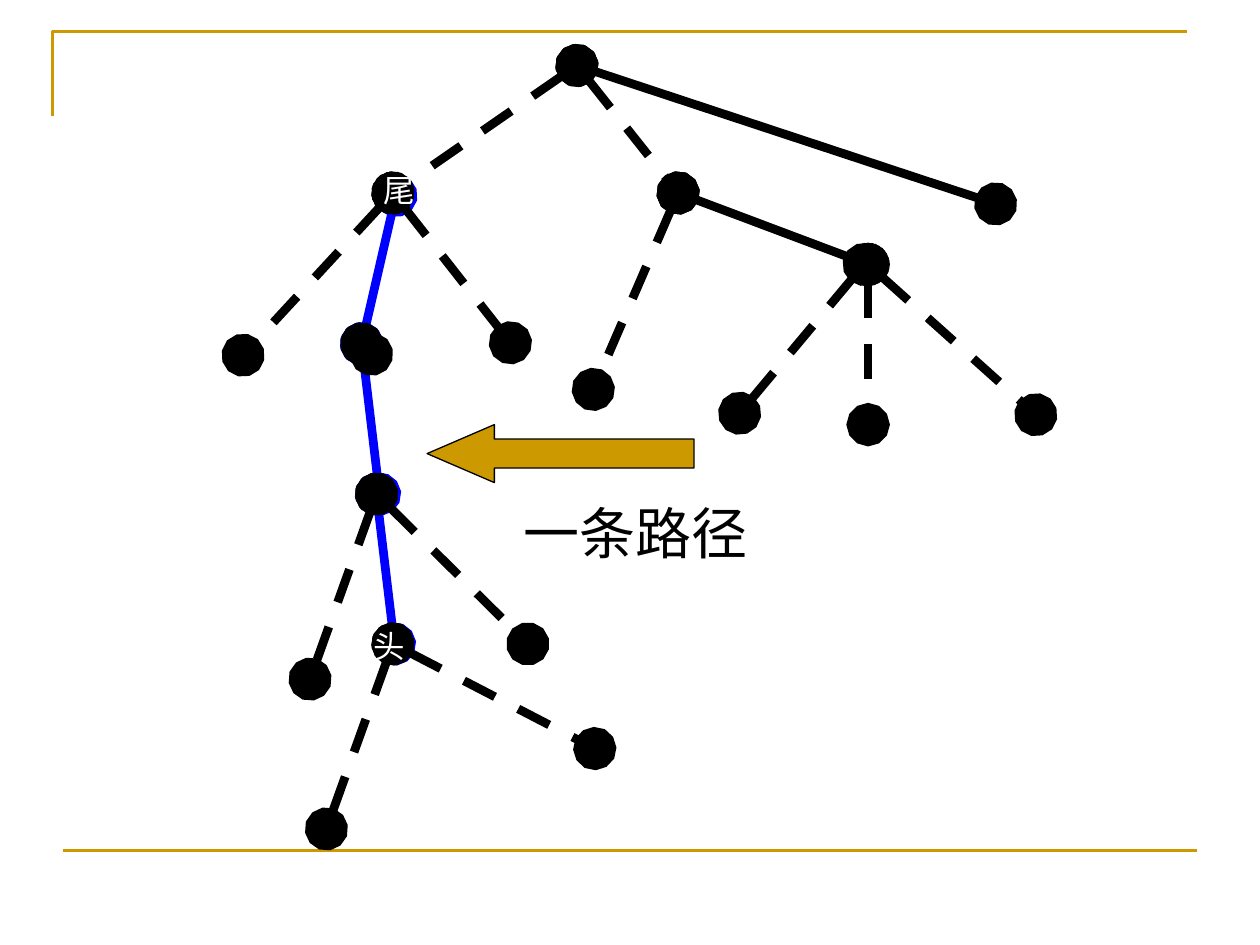
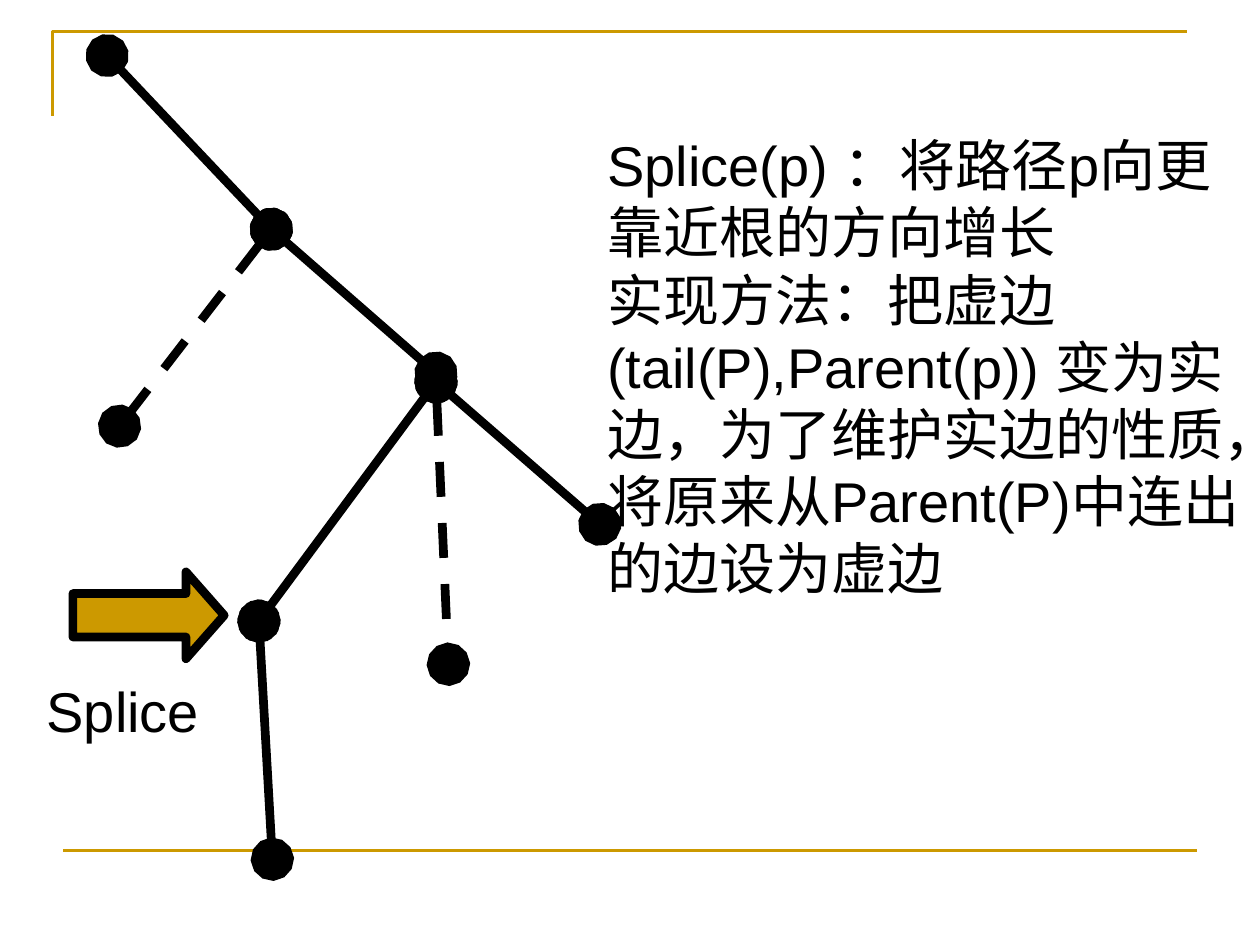
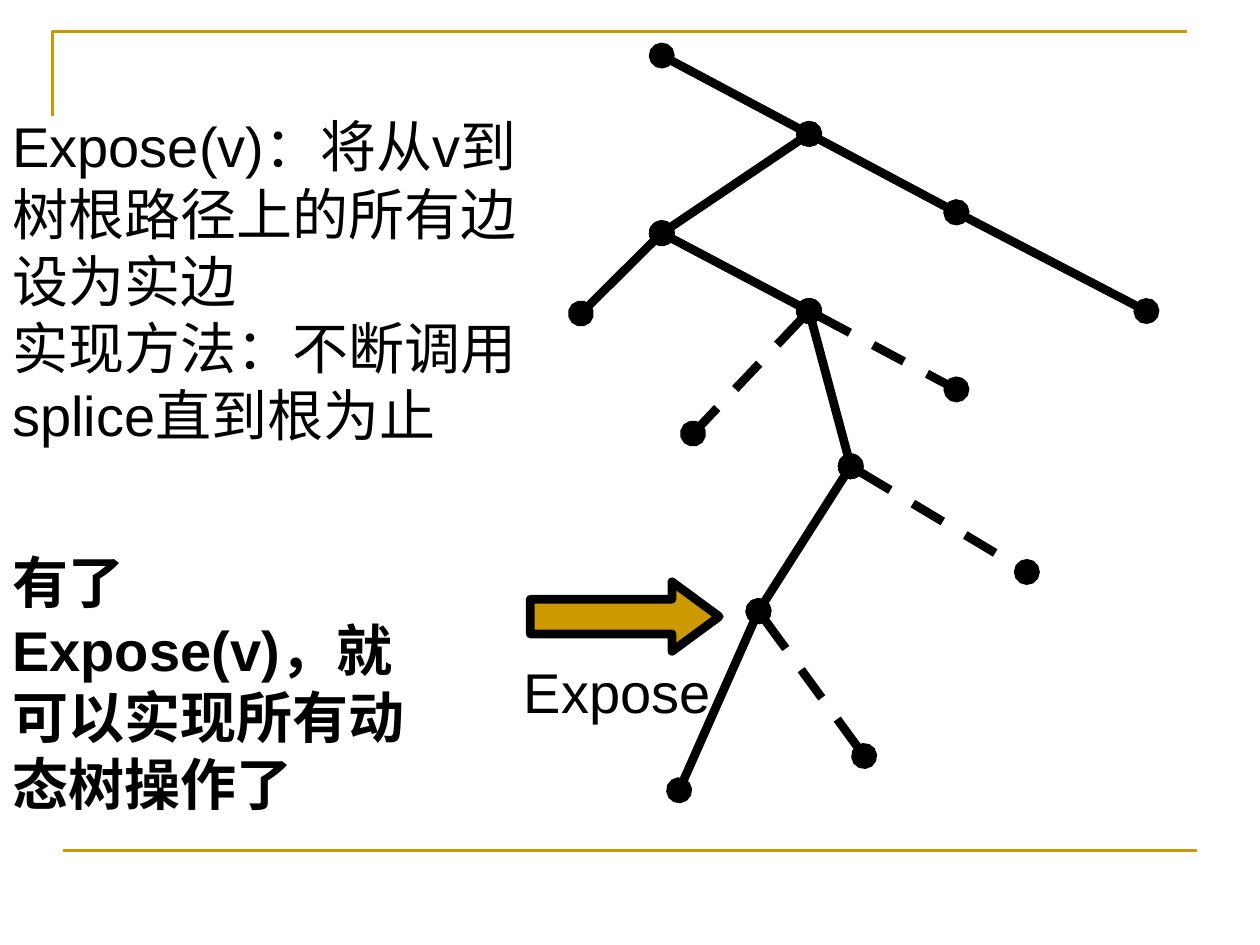
from lxml.etree import SubElement
from pptx import Presentation
from pptx.dml.color import RGBColor
from pptx.enum.dml import MSO_LINE
from pptx.enum.lang import MSO_LANGUAGE_ID
from pptx.enum.shapes import MSO_CONNECTOR, MSO_SHAPE
from pptx.enum.text import MSO_AUTO_SIZE
from pptx.oxml.ns import qn
from pptx.util import Cm, Pt

GOLD = RGBColor(0xCC, 0x99, 0x00)
BLACK = RGBColor(0, 0, 0)
BLUE = RGBColor(0, 0, 0xFF)
WHITE = RGBColor(0xFF, 0xFF, 0xFF)
FONT = "Arial"

# Nodes are (x, y) in cm; edges are pairs of node names.
PATH_NODES = {
    "root": (11.63, 1.32), "mid": (13.67, 3.89), "far": (20.07, 4.11),
    "tail": (7.92, 3.89), "tail rim": (7.98, 3.94),
    "fork": (17.5, 5.33), "fork left": (17.42, 5.33),
    "knee": (7.29, 6.93), "knee twin": (7.49, 7.14),
    "hip": (7.59, 9.96), "hip rim": (7.65, 9.96),
    "head": (7.92, 12.98), "head rim": (7.95, 12.98),
    "mid leaf": (11.96, 7.85),
    "tail leaf 1": (4.9, 7.16), "tail leaf 2": (10.29, 6.91),
    "fork leaf 1": (14.91, 8.33), "fork leaf 2": (17.5, 8.56),
    "fork leaf 3": (20.88, 8.36),
    "hip leaf 1": (6.25, 13.69), "hip leaf 2": (10.64, 12.98),
    "head leaf 1": (6.58, 16.71), "head leaf 2": (11.99, 15.09),
}
PATH_BLUE = [("tail rim", "knee"), ("knee", "hip rim"), ("hip", "head rim")]
PATH_SOLID = [("root", "far"), ("mid", "fork"), ("knee", "knee twin")]
PATH_DASHED = [
    ("root", "mid"), ("root", "tail"), ("mid", "mid leaf"),
    ("tail", "tail leaf 1"), ("tail", "tail leaf 2"),
    ("fork left", "fork leaf 1"), ("fork", "fork leaf 2"),
    ("fork", "fork leaf 3"), ("hip", "hip leaf 1"), ("hip", "hip leaf 2"),
    ("head", "head leaf 1"), ("head", "head leaf 2"),
]

SPLICE_NODES = {
    "root": (2.16, 1.12), "hub": (5.47, 4.62), "hub leaf": (2.41, 8.59),
    "fork top": (8.79, 7.52), "fork": (8.79, 7.7), "right": (12.09, 10.57),
    "mid": (9.04, 13.39), "left": (5.22, 12.52), "end": (5.49, 17.32),
}
SPLICE_SOLID = [("root", "hub"), ("hub", "fork top"), ("fork", "right"),
                ("fork", "left"), ("left", "end")]
SPLICE_DASHED = [("hub", "hub leaf"), ("fork", "mid")]

EXPOSE_NODES = {
    "root": (13.34, 1.12), "hub": (16.31, 2.7), "left": (13.34, 4.7),
    "left leaf": (11.71, 6.32), "right": (19.28, 4.28), "far": (23.11, 6.27),
    "fork": (16.31, 6.27), "fork leaf 1": (13.97, 8.74),
    "fork leaf 2": (19.28, 7.85), "knee": (17.15, 9.4),
    "knee leaf": (20.7, 11.53), "goal": (15.29, 12.32),
    "goal leaf 1": (13.69, 15.93), "goal leaf 2": (17.42, 15.24),
}
EXPOSE_SOLID = [
    ("root", "hub"), ("hub", "left"), ("hub", "right"), ("right", "far"),
    ("left", "left leaf"), ("left", "fork"), ("fork", "knee"),
    ("knee", "goal"), ("goal", "goal leaf 1"),
]
EXPOSE_DASHED = [("fork", "fork leaf 1"), ("fork", "fork leaf 2"),
                 ("knee", "knee leaf"), ("goal", "goal leaf 2")]


def add_line(slide, start, end, color, width):
    line = slide.shapes.add_connector(
        MSO_CONNECTOR.STRAIGHT, *map(Cm, start + end))
    line.line.color.rgb = color
    line.line.width = Pt(width)
    SubElement(line._element.spPr, qn("a:effectLst"))
    return line


def add_frame(slide):
    """Draw the gold corner and foot line that all slides share."""
    pen = slide.shapes.build_freeform(Cm(1.06), Cm(2.33))
    pen.add_line_segments(
        [(Cm(1.06), Cm(0.64)), (Cm(23.92), Cm(0.64))], close=False)
    corner = pen.convert_to_shape()
    corner.shadow.inherit = False
    corner.fill.background()
    corner.line.color.rgb = GOLD
    corner.line.width = Pt(1.5)
    add_line(slide, (1.27, 17.15), (24.13, 17.15), GOLD, 1.5)


def add_edges(slide, nodes, edges, dot="lg", color=BLACK, dashed=False):
    """Join pairs of nodes, with a round dot at each end."""
    for start, end in edges:
        edge = add_line(slide, nodes[start], nodes[end], color, 5)
        if dashed:
            edge.line.dash_style = MSO_LINE.DASH
        for tag in ("a:headEnd", "a:tailEnd"):
            SubElement(edge.line._ln, qn(tag), type="oval", w=dot, len=dot)


def add_arrow(slide, kind, box, point, width):
    """Draw a block arrow; point is its head length over its height."""
    arrow = slide.shapes.add_shape(kind, *map(Cm, box))
    arrow.shadow.inherit = False
    arrow.adjustments[0] = 0.5
    arrow.adjustments[1] = point
    arrow.fill.solid()
    arrow.fill.fore_color.rgb = GOLD
    arrow.line.color.rgb = BLACK
    arrow.line.width = Pt(width)


def add_text(slide, box, text, size=32, color=BLACK, bold=False, before=0):
    frame = slide.shapes.add_textbox(*map(Cm, box)).text_frame
    frame.word_wrap = True
    frame.auto_size = MSO_AUTO_SIZE.SHAPE_TO_FIT_TEXT
    frame.text = text
    for para in frame.paragraphs:
        para.space_before = Pt(before)
        for run in para.runs:
            font = run.font
            font.name = FONT
            font.size = Pt(size)
            font.bold = bold
            font.color.rgb = color
            font.language_id = MSO_LANGUAGE_ID.SIMPLIFIED_CHINESE


def draw_path(slide):
    add_edges(slide, PATH_NODES, PATH_BLUE, color=BLUE)
    add_edges(slide, PATH_NODES, PATH_SOLID)
    add_edges(slide, PATH_NODES, PATH_DASHED, dashed=True)
    add_arrow(slide, MSO_SHAPE.LEFT_ARROW, (8.61, 8.56, 5.38, 1.17), 1.16, 0.75)
    add_text(slide, (10.31, 9.93, 8.43, 1.63), "一条路径", before=20)
    add_text(slide, (7.29, 12.52, 2.59, 1.02), "头", 18, WHITE, before=11.2)
    add_text(slide, (7.49, 3.33, 3.4, 1.02), "尾", 18, WHITE, before=11.2)


def draw_splice(slide):
    add_edges(slide, SPLICE_NODES, SPLICE_SOLID)
    add_edges(slide, SPLICE_NODES, SPLICE_DASHED, dashed=True)
    add_arrow(slide, MSO_SHAPE.RIGHT_ARROW, (1.47, 11.53, 3.05, 1.75), 0.44, 5)
    add_text(slide, (0.69, 13.51, 4.83, 1.63), "Splice", before=20)
    add_text(slide, (11.99, 2.51, 13.41, 9.75),
             "Splice(p) ：将路径p向更靠近根的方向增长\n"
             "实现方法：把虚边(tail(P),Parent(p)) 变为实边，为了维护实边的性质，"
             "将原来从Parent(P)中连出的边设为虚边")


def draw_expose(slide):
    add_edges(slide, EXPOSE_NODES, EXPOSE_SOLID, "med")
    add_edges(slide, EXPOSE_NODES, EXPOSE_DASHED, "med", dashed=True)
    add_arrow(slide, MSO_SHAPE.RIGHT_ARROW, (10.69, 11.73, 3.81, 1.4), 0.68, 5)
    add_text(slide, (10.31, 13.13, 5.21, 1.63), "Expose", before=20)
    add_text(slide, (0, 2.13, 11.3, 7.04),
             "Expose(v)：将从v到树根路径上的所有边设为实边\n"
             "实现方法：不断调用splice直到根为止")
    add_text(slide, (0, 10.92, 9.09, 7.75),
             "有了Expose(v)，就可以实现所有动态树操作了", bold=True)


def main():
    deck = Presentation()
    deck.slide_width = Cm(25.4)
    deck.slide_height = Cm(19.05)
    for draw in (draw_path, draw_splice, draw_expose):
        slide = deck.slides.add_slide(deck.slide_layouts[6])
        add_frame(slide)
        draw(slide)
    deck.save("out.pptx")


if __name__ == "__main__":
    main()
